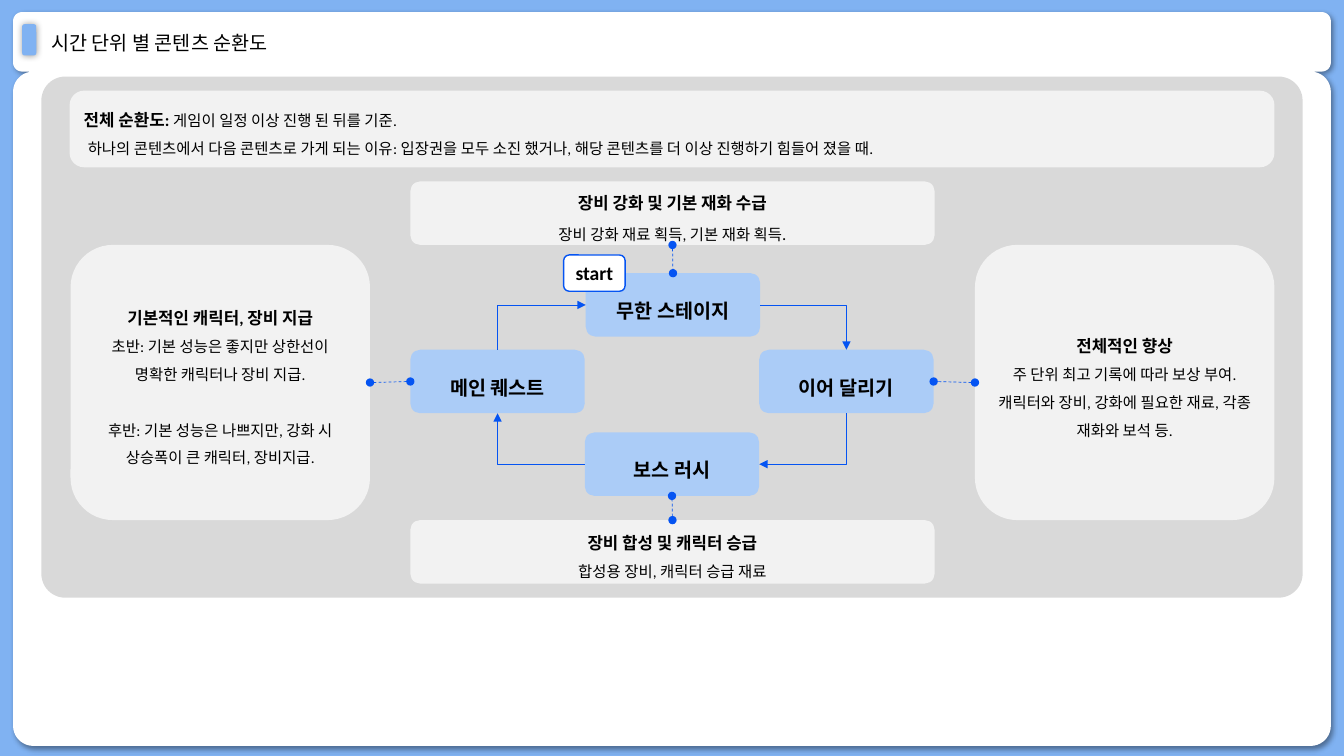
from math import cos, sin, radians
from lxml.etree import SubElement
from pptx import Presentation
from pptx.dml.color import RGBColor
from pptx.enum.dml import MSO_LINE
from pptx.enum.shapes import MSO_CONNECTOR, MSO_SHAPE
from pptx.enum.text import MSO_ANCHOR, MSO_AUTO_SIZE, PP_ALIGN
from pptx.oxml.ns import qn
from pptx.util import Inches, Pt

# Content: a paragraph is a list of (text, size, bold) runs
SKY, WHITE, GRAY, PALE = "80B2F2", "FFFFFF", "D9D9D9", "F2F2F2"
NODE, BLUE, BLACK, FONT = "ABCCF7", "0554F2", "000000", "Calibri"
TITLE = "시간 단위 별 콘텐츠 순환도"
INTRO = [
    [("전체 순환도: ", 12, True), ("게임이 일정 이상 진행 된 뒤를 기준.", 11, False)],
    [("하나의 콘텐츠에서 다음 콘텐츠로 가게 되는 이유: 입장권을 모두 소진 했거나, "
      "해당 콘텐츠를 더 이상 진행하기 힘들어 졌을 때.", 11, False)],
]
NODES = {
    "stage": ("무한 스테이지", 5.81, 2.71),
    "relay": ("이어 달리기", 7.53, 3.47),
    "boss": ("보스 러시", 5.8, 4.29),
    "quest": ("메인 퀘스트", 4.07, 3.47),
}
CARDS = {
    "quest": ((0.7, 2.43, 2.97, 2.73), [
        [("기본적인 캐릭터, 장비 지급", 12, True)],
        [("초반: 기본 성능은 좋지만 상한선이 명확한 캐릭터나 장비 지급.", 11, False)],
        [("후반: 기본 성능은 나쁘지만, 강화 시 상승폭이 큰 캐릭터, 장비지급.", 11, False)]]),
    "stage": ((4.07, 1.8, 5.2, 0.63), [
        [("장비 강화 및 기본 재화 수급", 12, True)],
        [("장비 강화 재료 획득, 기본 재화 획득", 11, False), (".", 12, False)]]),
    "boss": ((4.07, 5.16, 5.2, 0.63), [
        [("장비 합성 및 캐릭터 승급", 12, True)],
        [("합성용 장비, 캐릭터 승급 재료", 11, False)]]),
    "relay": ((9.67, 2.43, 2.97, 2.73), [
        [("전체적인 향상", 12, True)],
        [("주 단위 최고 기록에 따라 보상 부여.", 11, False)],
        [("캐릭터와 장비, 강화에 필요한 재료, 각종 재화와 보석 등.", 11, False)]]),
}
# Connection sites: 0 top, 1 left, 2 bottom, 3 right
LOOP = [("stage", 3, "relay", 0), ("relay", 2, "boss", 3),
        ("boss", 1, "quest", 2), ("quest", 0, "stage", 1)]
LINKS = [("boss", 0, 2), ("relay", 1, 3), ("quest", 3, 1), ("stage", 2, 0)]

deck = Presentation()
deck.slide_width, deck.slide_height = Inches(13.33), Inches(7.5)
slide = deck.slides.add_slide(deck.slide_layouts[5])
shapes = slide.shapes


def paint(fill, color):
    fill.solid()
    fill.fore_color.rgb = RGBColor.from_string(color)


def write(frame, paras, align=PP_ALIGN.CENTER, space=1.5):
    for i, runs in enumerate(paras):
        para = frame.paragraphs[0] if i == 0 else frame.add_paragraph()
        para.alignment, para.line_spacing = align, space
        for text, size, bold in runs:
            run = para.add_run()
            run.text = text
            font = run.font
            font.name, font.size, font.bold = FONT, Pt(size), bold
            paint(font.fill, BLACK)


def box(place, color, adj, paras=(), **style):
    shape = shapes.add_shape(MSO_SHAPE.ROUNDED_RECTANGLE, *map(Inches, place))
    shape.adjustments[0] = adj
    shape.shadow.inherit = False
    paint(shape.fill, color)
    shape.line.fill.background()
    frame = shape.text_frame
    frame.word_wrap, frame.vertical_anchor = True, MSO_ANCHOR.MIDDLE
    write(frame, paras, **style)
    return shape


def shade(shape, blur, dist, angle):
    shape.shadow.inherit = False
    effects = shape._element.spPr.find(qn("a:effectLst"))
    outer = SubElement(effects, qn("a:outerShdw"), blurRad=str(Pt(blur)),
                       dist=str(Pt(dist)), dir=str(angle * 60000), rotWithShape="0")
    color = SubElement(outer, qn("a:srgbClr"), val=BLACK)
    SubElement(color, qn("a:alpha"), val="40000")


def join(kind, start, out, end, into, **tips):
    line = shapes.add_connector(kind, 0, 0, 0, 0)
    line.begin_connect(start, out)
    line.end_connect(end, into)
    paint(line.line.fill, BLUE)
    line.line.width = Pt(0.5)
    if kind == MSO_CONNECTOR.STRAIGHT:
        line.line.dash_style = MSO_LINE.DASH
    props = line._element.spPr
    for tip, form in tips.items():
        SubElement(props.find(qn("a:ln")), qn("a:" + tip), type=form)
    SubElement(props, qn("a:effectLst"))
    return line


def bend(line, turn):
    """Make a one-corner elbow, turned clockwise by quarter turns."""
    wide, high = line.width, line.height
    midx, midy = line.left + wide // 2, line.top + high // 2
    if turn % 2:
        wide, high = high, wide
    line.left, line.top = midx - wide // 2, midy - high // 2
    line.width, line.height = wide, high
    props = line._element.spPr
    props.find(qn("a:prstGeom")).set("prst", "bentConnector2")
    xfrm = props.find(qn("a:xfrm"))
    for flip in ("flipH", "flipV"):
        xfrm.attrib.pop(flip, None)
    xfrm.set("rot", str(turn * 5400000))


# Background and white frame: a header tab on a page, both with round corners
paint(slide.background.fill, SKY)
L, T, R, B, SEAM, SMALL, BIG = 0.13, 0.12, 13.2, 7.4, 0.71, 0.09, 0.2
CORNERS = [  # centre, radius, first angle
    (L + SMALL, T + SMALL, SMALL, 180), (R - SMALL, T + SMALL, SMALL, 270),
    (R - SMALL, SEAM - SMALL, SMALL, 0), (R - BIG, SEAM + BIG, BIG, 270),
    (R - BIG, B - BIG, BIG, 0), (L + BIG, B - BIG, BIG, 90),
    (L + BIG, SEAM + BIG, BIG, 180), (L + SMALL, SEAM - SMALL, SMALL, 90),
]
edge = [(Inches(x + r * cos(radians(a + d))), Inches(y + r * sin(radians(a + d))))
        for x, y, r, a in CORNERS for d in range(0, 91, 10)]
pen = shapes.build_freeform(*edge[0])
pen.add_line_segments(edge[1:], close=True)
page = pen.convert_to_shape()
paint(page.fill, WHITE)
page.line.fill.background()
shade(page, 4, 3, 45)
shade(box((0.22, 0.24, 0.14, 0.31), SKY, 0.167), 5, 0, 0)

# Title, brought in front of the frame
title = shapes.title
title.left, title.top, title.width, title.height = map(Inches, (0.41, 0.12, 11.5, 0.63))
head = title.text_frame
head.auto_size, head.vertical_anchor = MSO_AUTO_SIZE.NONE, MSO_ANCHOR.MIDDLE
head.word_wrap = True
write(head, [[(TITLE, 14, False)]], PP_ALIGN.LEFT, 0.9)
shapes._spTree.append(title._element)

# Panel, cycle steps and their cards
box((0.41, 0.76, 12.51, 5.17), GRAY, 0.046)
nodes = {key: box((x, y, 1.73, 0.63), NODE, 0.154, [[(text, 14, True)]])
         for key, (text, x, y) in NODES.items()}
cards = {key: box(place, PALE, 0.154, paras) for key, (place, paras) in CARDS.items()}
cards["quest"].text_frame.paragraphs[2].space_before = Pt(20)

# Arrows around the cycle, dashed links to the cards
for turn, (start, out, end, into) in enumerate(LOOP):
    bend(join(MSO_CONNECTOR.ELBOW, nodes[start], out, nodes[end], into,
              tailEnd="triangle"), turn)
start = box((5.59, 2.53, 0.61, 0.36), WHITE, 0.154, [[("start", 14, True)]], space=1)
paint(start.line.fill, BLUE)
start.line.width = Pt(1)
start.text_frame.margin_left = start.text_frame.margin_right = 0
for key, out, into in LINKS:
    join(MSO_CONNECTOR.STRAIGHT, cards[key], out, nodes[key], into,
         headEnd="oval", tailEnd="oval")

# Introduction
intro = box((0.69, 0.9, 11.95, 0.76), PALE, 0.189, INTRO, align=PP_ALIGN.LEFT)
intro.text_frame.vertical_anchor = MSO_ANCHOR.TOP
intro.text_frame.paragraphs[1]._p.get_or_add_pPr().set("marL", str(Inches(0.04)))

deck.save("out.pptx")
